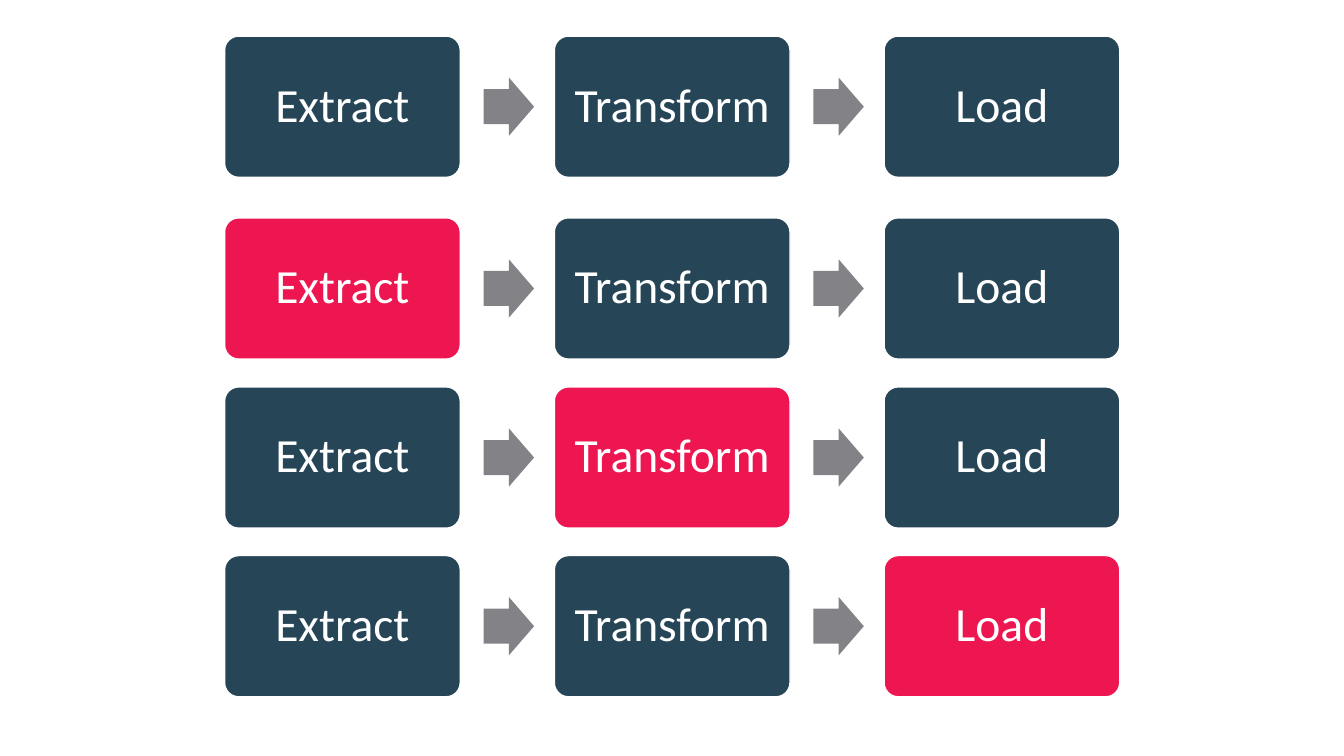
from pptx import Presentation
from pptx import util as u
from pptx.dml.color import RGBColor
from pptx.enum import shapes, text

STAGES = ["Extract", "Transform", "Load"]

# Each row: top edge in cm and the highlighted stage
ROWS = [(0.91, None), (5.49, "Extract"), (9.75, "Transform"), (14.0, "Load")]

LEFT, PITCH = 5.66, 8.31
BOX_WIDTH, BOX_HEIGHT = 5.94, 3.56
ARROW_OFFSET, ARROW_WIDTH, ARROW_HEIGHT = 6.53, 1.27, 1.47


def color(value):
    return RGBColor.from_string(value)


class Painter:
    """Holds the style and the current slide."""

    navy, red, gray, white = "264658", "ED1650", "838286", "FFFFFF"
    font, size = "Calibri", 34

    def __init__(self, page):
        self.page = page

    def group(self):
        return self.page.shapes.add_group_shape()

    def shape(self, group, kind, left, top, width, height, fill, adjustments):
        shape = group.shapes.add_shape(
            kind, u.Cm(left), u.Cm(top), u.Cm(width), u.Cm(height))
        shape.shadow.inherit = False
        shape.fill.solid()
        shape.fill.fore_color.rgb = color(fill)
        for index, value in enumerate(adjustments):
            shape.adjustments[index] = value
        return shape

    def stage(self, group, label, left, top, highlighted):
        box = self.shape(group, shapes.MSO_SHAPE.ROUNDED_RECTANGLE,
                         left, top, BOX_WIDTH, BOX_HEIGHT,
                         self.red if highlighted else self.navy, [0.1])
        box.line.color.rgb = color(self.white)
        box.line.width = u.Pt(1)
        frame = box.text_frame
        frame.word_wrap = True
        frame.vertical_anchor = text.MSO_ANCHOR.MIDDLE
        frame.margin_left = frame.margin_right = u.Cm(0.34)
        frame.margin_top = frame.margin_bottom = u.Cm(0.34)
        para = frame.paragraphs[0]
        para.alignment = text.PP_ALIGN.CENTER
        para.line_spacing = 0.9
        span = para.add_run()
        span.text = label
        span.font.name = self.font
        span.font.size = u.Pt(self.size)
        span.font.color.rgb = color(self.white)

    def arrow(self, group, left, top):
        arrow = self.shape(group, shapes.MSO_SHAPE.RIGHT_ARROW,
                           left, top, ARROW_WIDTH, ARROW_HEIGHT,
                           self.gray, [0.6, 0.5])
        arrow.line.fill.background()


# Deck and blank page
deck = Presentation()
deck.slide_width, deck.slide_height = u.Cm(33.87), u.Cm(19.05)
painter = Painter(deck.slides.add_slide(deck.slide_layouts[6]))

# Process rows, one group each
for top, highlight in ROWS:
    row = painter.group()
    for column, label in enumerate(STAGES):
        left = LEFT + column * PITCH
        painter.stage(row, label, left, top, label == highlight)
        if column < len(STAGES) - 1:
            painter.arrow(row, left + ARROW_OFFSET,
                          top + (BOX_HEIGHT - ARROW_HEIGHT) / 2)

deck.save("out.pptx")
